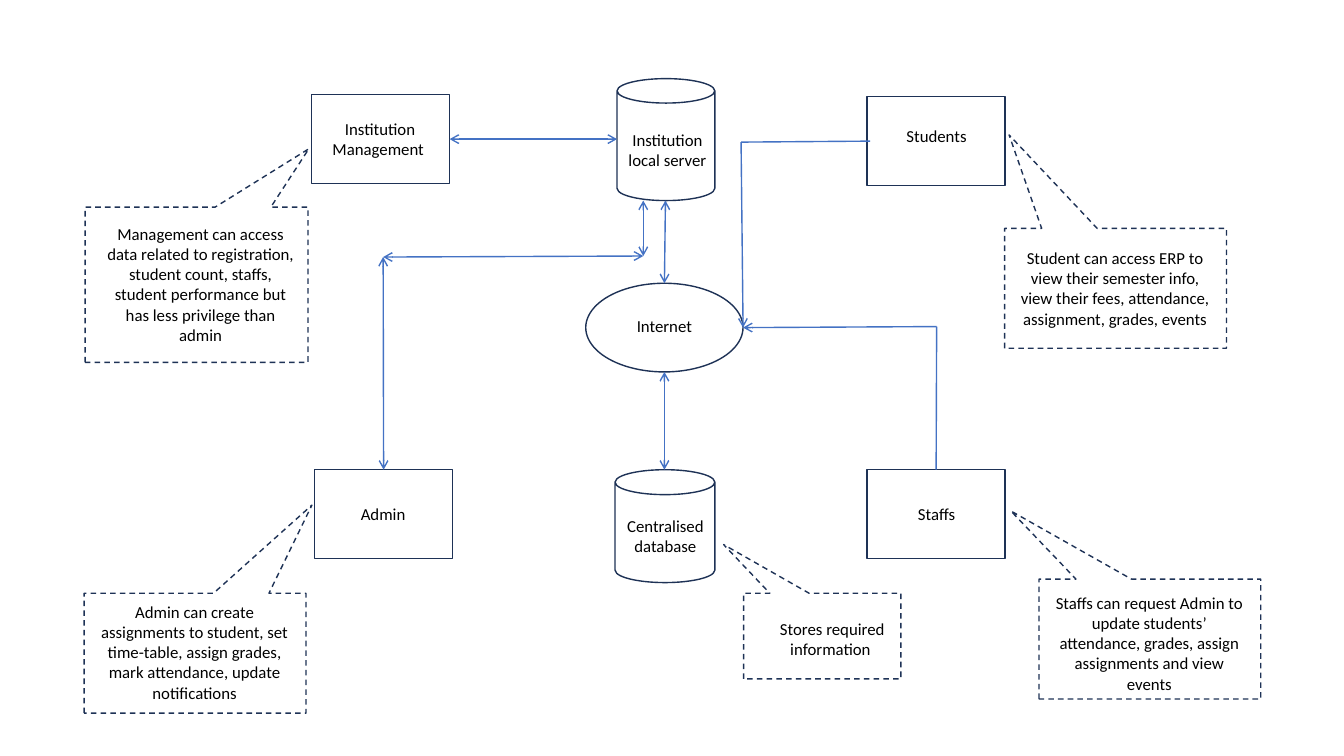
from dataclasses import dataclass

import lxml.etree
import pptx
import pptx.dml.color
import pptx.enum.dml
import pptx.enum.shapes
import pptx.enum.text
import pptx.oxml.ns
import pptx.util
from pptx.util import Inches

SHAPES = pptx.enum.shapes.MSO_SHAPE


@dataclass(frozen=True)
class Theme:
    outline: str = "1E3256"
    arrow: str = "4472C4"
    paper: str = "FFFFFF"
    ink: str = "000000"
    font: str = "Calibri"
    text_size: int = 12
    line_width: int = 1


THEME = Theme()

# Nodes: name -> shape, left, top, width, height
NODES = {
    "management": (SHAPES.RECTANGLE, 3.09, 0.94, 1.37, 0.88),
    "admin": (SHAPES.RECTANGLE, 3.12, 4.66, 1.37, 0.88),
    "server": (SHAPES.CAN, 6.12, 0.78, 0.97, 1.21),
    "internet": (SHAPES.OVAL, 5.81, 2.81, 1.56, 0.88),
    "database": (SHAPES.CAN, 6.1, 4.66, 0.99, 1.12),
    "students": (SHAPES.RECTANGLE, 8.6, 0.96, 1.37, 0.88),
    "staffs": (SHAPES.RECTANGLE, 8.6, 4.66, 1.37, 0.88),
}

# Links: start, end, arrow at start, arrow at end, joined rectangle and side at start, at end
LINKS = [
    ((6.6, 1.99), (6.59, 2.81), True, True, None, None),
    ((6.59, 3.69), (6.59, 4.66), True, True, None, None),
    ((6.12, 1.38), (4.46, 1.38), True, True, None, ("management", 3)),
    ((3.8, 4.66), (3.8, 2.55), True, True, ("admin", 0), None),
    ((3.8, 2.55), (6.38, 2.54), True, True, None, None),
    ((6.38, 1.99), (6.38, 2.54), True, True, None, None),
    ((7.35, 1.41), (7.37, 3.25), False, True, None, None),
    ((8.63, 1.4), (7.35, 1.41), False, False, None, None),
    ((9.29, 3.24), (9.29, 4.66), False, False, None, ("staffs", 0)),
    ((7.37, 3.25), (9.29, 3.24), True, False, None, None),
]

# Labels: text, left, top, width, height
LABELS = [
    ("Admin", 3.22, 4.95, 1.16, 0.3),
    ("Students", 8.71, 1.2, 1.16, 0.3),
    ("Internet", 6.01, 3.08, 1.16, 0.3),
    ("Staffs", 8.71, 4.95, 1.16, 0.3),
    ("Centralised database", 6.02, 5.07, 1.16, 0.5),
    ("Institution local server", 6.04, 1.24, 1.16, 0.5),
    ("Institution Management ", 3.19, 1.13, 1.16, 0.5),
]

# Notes: callout box before its quarter turn, pointer position, text, text box
NOTES = [
    ((1.18, 1.72, 1.54, 2.21), (0.876, 0.504),
     "Management can access data related to registration, student count, staffs, "
     "student performance but has less privilege than admin", (0.95, 2.17, 2.08, 1.31)),
    ((1.34, 5.38, 1.19, 2.2), (1.235, 0.527),
     "Admin can create assignments to student, set time-table, assign grades, "
     "mark attendance, update notifications", (0.89, 5.92, 2.08, 1.11)),
    ((10.47, 1.76, 1.19, 2.2), (1.279, -0.48),
     "Student can access ERP to view their semester info, view their fees, "
     "attendance, assignment, grades, events", (10.02, 2.41, 2.08, 0.91)),
    ((10.81, 5.24, 1.19, 2.2), (1.068, -0.627),
     "Staffs can request Admin to update students’ attendance, grades, "
     "assign assignments and view events", (10.36, 5.83, 2.08, 1.11)),
    ((7.73, 5.53, 0.85, 1.56), (1.068, -0.627),
     "Stores required information ", (7.35, 6.09, 1.81, 0.5)),
]


def color(code):
    return pptx.dml.color.RGBColor.from_string(code)


def style_line(line, code):
    line.color.rgb = color(code)
    line.width = pptx.util.Pt(THEME.line_width)


def add_outlined(page, kind, box):
    shape = page.shapes.add_shape(kind, *map(Inches, box))
    shape.shadow.inherit = False
    style_line(shape.line, THEME.outline)
    return shape


def add_node(page, kind, *box):
    node = add_outlined(page, kind, box)
    node.fill.solid()
    node.fill.fore_color.rgb = color(THEME.paper)
    return node


def add_callout(page, box, pointer):
    callout = add_outlined(page, SHAPES.RECTANGULAR_CALLOUT, box)
    callout.fill.background()
    callout.line.dash_style = pptx.enum.dml.MSO_LINE.DASH
    callout.rotation = 270
    for index, value in enumerate(pointer):
        callout.adjustments[index] = value


def add_text(page, text, *box):
    label = page.shapes.add_textbox(*map(Inches, box))
    frame = label.text_frame
    frame.word_wrap = True
    frame.auto_size = pptx.enum.text.MSO_AUTO_SIZE.SHAPE_TO_FIT_TEXT
    para = frame.paragraphs[0]
    para.alignment = pptx.enum.text.PP_ALIGN.CENTER
    span = para.add_run()
    span.text = text
    span.font.name = THEME.font
    span.font.size = pptx.util.Pt(THEME.text_size)
    span.font.color.rgb = color(THEME.ink)


def add_link(page, nodes, start, end, start_arrow, end_arrow, start_join, end_join):
    link = page.shapes.add_connector(
        pptx.enum.shapes.MSO_CONNECTOR.STRAIGHT, *map(Inches, start + end))
    style_line(link.line, THEME.arrow)
    if start_join:
        link.begin_connect(nodes[start_join[0]], start_join[1])
    if end_join:
        link.end_connect(nodes[end_join[0]], end_join[1])
    # Arrowheads and the empty effect list
    qualified = pptx.oxml.ns.qn
    properties = link._element.spPr
    outline = properties.find(qualified("a:ln"))
    for tag, wanted in (("a:headEnd", start_arrow), ("a:tailEnd", end_arrow)):
        if wanted:
            lxml.etree.SubElement(outline, qualified(tag), type="arrow")
    lxml.etree.SubElement(properties, qualified("a:effectLst"))


def main():
    deck = pptx.Presentation()
    deck.slide_width, deck.slide_height = Inches(13.33), Inches(7.5)
    page = deck.slides.add_slide(deck.slide_layouts[6])

    # System parts and the links between them
    nodes = {name: add_node(page, *node) for name, node in NODES.items()}
    for link in LINKS:
        add_link(page, nodes, *link)
    for label in LABELS:
        add_text(page, *label)

    # Explanatory notes
    for box, pointer, text, text_box in NOTES:
        add_callout(page, box, pointer)
        add_text(page, text, *text_box)

    deck.save("out.pptx")


if __name__ == "__main__":
    main()
